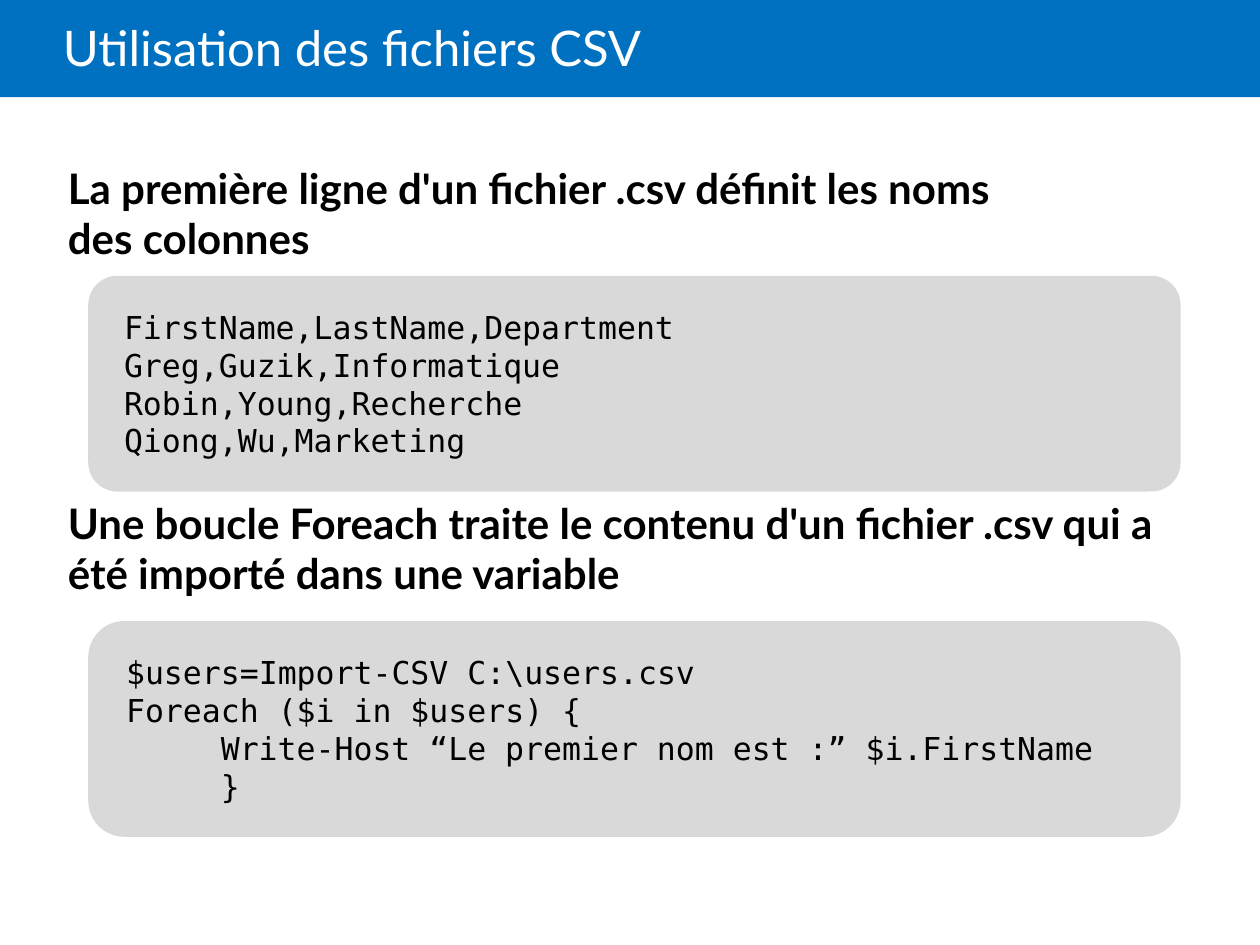
from pptx import Presentation
from pptx.dml.color import RGBColor
from pptx.enum.shapes import MSO_SHAPE
from pptx.enum.text import MSO_ANCHOR, PP_ALIGN
from pptx.util import Cm, Pt

# Content
TITLE = "Utilisation des fichiers CSV"
# Each section: heading, heading top, panel top, corner radius ratio, code lines (indent level, text)
SECTIONS = [
    ("La première ligne d'un fichier .csv définit les noms des\u00a0colonnes", 3.15, 5.56, 0.135, [
        (0, "FirstName,LastName,Department"),
        (0, "Greg,Guzik,Informatique"),
        (0, "Robin,Young,Recherche"),
        (0, "Qiong,Wu,Marketing"),
    ]),
    ("Une boucle Foreach traite le contenu d'un fichier .csv qui a été importé dans une variable",
     9.9, 12.52, 0.167, [
        (0, "$users=Import-CSV C:\\users.csv"),
        (0, "Foreach ($i in $users) {"),
        (1, "Write-Host “Le premier nom est :” $i.FirstName"),
        (1, "}"),
    ]),
]

# Style and layout, in centimetres
BLUE, GREY, BLACK, WHITE = "0070C0", "D9D9D9", "000000", "FFFFFF"
TEXT_FONT, CODE_FONT = "Lato", "DejaVu Sans Mono"
SLIDE_W, SLIDE_H = 25.4, 19.05
PANEL_X, PANEL_W, PANEL_H = 1.78, 22.02, 4.35
CODE_MARGIN, CODE_INDENT = 0.3, 1.91


def rgb(hex_color):
    return RGBColor.from_string(hex_color)


def add_panel(kind, x, y, w, h, color):
    panel = slide.shapes.add_shape(kind, Cm(x), Cm(y), Cm(w), Cm(h))
    panel.shadow.inherit = False
    panel.fill.solid()
    panel.fill.fore_color.rgb = rgb(color)
    panel.line.fill.background()
    return panel


def write(paragraph, text, font, size, color, bold=False):
    paragraph.text = text
    paragraph.alignment = PP_ALIGN.LEFT
    for run in paragraph.runs:
        run.font.name = font
        run.font.size = Pt(size)
        run.font.bold = bold
        run.font.color.rgb = rgb(color)


def add_text(x, y, w, h, text, size, color, bold=False):
    box = slide.shapes.add_textbox(Cm(x), Cm(y), Cm(w), Cm(h))
    box.text_frame.word_wrap = True
    write(box.text_frame.paragraphs[0], text, TEXT_FONT, size, color, bold)
    return box.text_frame


prs = Presentation()
prs.slide_width, prs.slide_height = Cm(SLIDE_W), Cm(SLIDE_H)
slide = prs.slides.add_slide(prs.slide_layouts[6])

# Title band
add_panel(MSO_SHAPE.RECTANGLE, 0, 0, SLIDE_W, 1.96, BLUE)
title = add_text(1.27, 0, 21.59, 2.06, TITLE, 28, WHITE)
title.margin_left = 0
title.vertical_anchor = MSO_ANCHOR.MIDDLE
title.paragraphs[0].line_spacing = 0.85

# Headings with their code panels
for heading, heading_y, panel_y, corner, code in SECTIONS:
    add_text(1.12, heading_y, 22.4, 2.3, heading, 24, BLACK, bold=True)
    panel = add_panel(MSO_SHAPE.ROUNDED_RECTANGLE, PANEL_X, panel_y, PANEL_W, PANEL_H, GREY)
    panel.adjustments[0] = corner
    frame = panel.text_frame
    frame.word_wrap = True
    frame.vertical_anchor = MSO_ANCHOR.MIDDLE
    for number, (level, line) in enumerate(code):
        paragraph = frame.add_paragraph() if number else frame.paragraphs[0]
        write(paragraph, line, CODE_FONT, 18, BLACK)
        margin = Cm(CODE_MARGIN + level * CODE_INDENT)
        paragraph._p.get_or_add_pPr().set("marL", str(margin))

prs.save("out.pptx")
